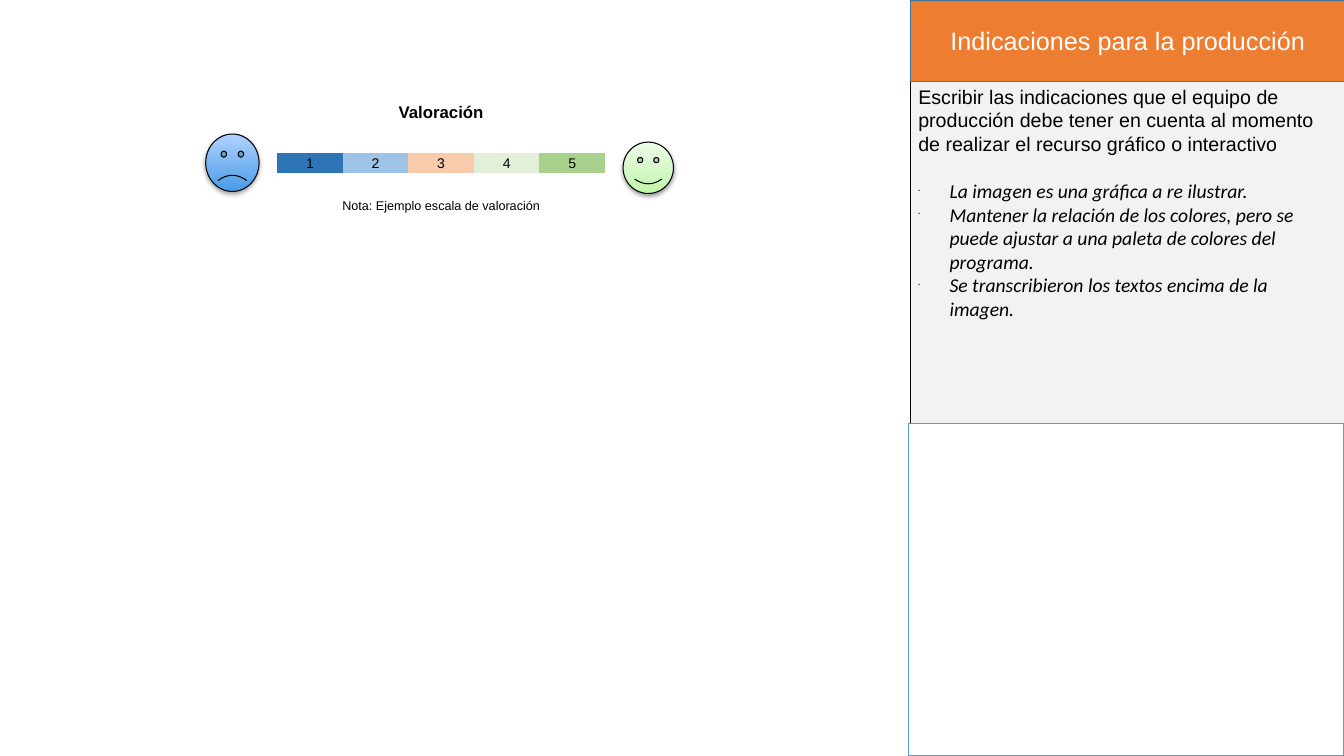
import dataclasses
import lxml.etree
import pptx
import pptx.dml.color
import pptx.enum.shapes
import pptx.enum.text
import pptx.oxml.ns
import pptx.util

Inches = pptx.util.Inches
Pt = pptx.util.Pt
RGB = pptx.dml.color.RGBColor.from_string
Shape = pptx.enum.shapes.MSO_SHAPE
Align = pptx.enum.text.PP_ALIGN
Anchor = pptx.enum.text.MSO_ANCHOR
qn = pptx.oxml.ns.qn


@dataclasses.dataclass
class Theme:
    black: str = "000000"
    white: str = "FFFFFF"
    panel: str = "F2F2F2"
    orange: str = "ED7D31"
    navy: str = "42719B"
    blue: str = "5B9BD5"
    scale: tuple = ("2E75B6", "9DC3E6", "F8CBAD", "E2F0D9", "A9D18E")
    happy: tuple = ((0, "BEF5A7"), (35, "D1F7C2"), (100, "EDFDE7"))
    sad: tuple = ((0, "499CE7"), (100, "B0D2FF"))
    head: int = 18
    body: int = 14
    label: int = 12
    cell: int = 10
    note: int = 9


theme = Theme()


def write(par, text, size, color=theme.black, font="Arial", bold=False, italic=False):
    run = par.add_run()
    run.text = text
    run.font.size = Pt(size)
    run.font.name = font
    run.font.bold = bold
    run.font.italic = italic
    run.font.color.rgb = RGB(color)


def paint(shape, fill, line, width=1):
    shape.fill.solid()
    shape.fill.fore_color.rgb = RGB(fill)
    shape.line.color.rgb = RGB(line)
    shape.line.width = Pt(width)


deck = pptx.Presentation()
deck.slide_width = Inches(13.33)
deck.slide_height = Inches(7.5)
slide = deck.slides.add_slide(deck.slide_layouts[5])
shapes = slide.shapes

# Side panel and the free area below it
banner = shapes.title
side = Inches(9.03)
wide = Inches(4.31)
panel = shapes.add_shape(Shape.RECTANGLE, side, 0, wide, Inches(7.5))
paint(panel, theme.panel, theme.black)
panel.shadow.inherit = False
banner._element.addprevious(panel._element)
blank = shapes.add_shape(Shape.RECTANGLE, Inches(9.01), Inches(4.2), Inches(4.32), Inches(3.3))
paint(blank, theme.white, theme.blue)
blank.shadow.inherit = False

# Panel heading
banner.left, banner.top, banner.width, banner.height = side, 0, wide, Inches(0.81)
paint(banner, theme.orange, theme.navy)
frame = banner.text_frame
frame.auto_size = pptx.enum.text.MSO_AUTO_SIZE.NONE
frame.vertical_anchor = Anchor.MIDDLE
frame.paragraphs[0].alignment = Align.CENTER
write(frame.paragraphs[0], "Indicaciones para la producción", theme.head, theme.white)

# Instructions
frame = shapes.add_textbox(Inches(9.01), Inches(0.79), Inches(4.33), Inches(3.3)).text_frame
frame.word_wrap = True
intro = frame.paragraphs[0]
intro.space_after = Pt(17)
write(intro, "Escribir las indicaciones que el equipo de producción debe tener en cuenta "
      "al momento de realizar el recurso gráfico o interactivo", theme.body)
for text in (
    "La imagen es una gráfica a re ilustrar.",
    "Mantener la relación de los colores, pero se puede ajustar a una paleta de colores del programa.",
    "Se transcribieron los textos encima de la imagen.",
):
    par = frame.add_paragraph()
    write(par, text, theme.body, font="Calibri", italic=True)
    props = par._p.get_or_add_pPr()
    props.set("marL", str(Inches(0.31)))
    props.set("indent", str(-Inches(0.31)))
    lxml.etree.SubElement(props, qn("a:buSzPct")).set("val", "25000")
    lxml.etree.SubElement(props, qn("a:buFont")).set("typeface", "Arial")
    lxml.etree.SubElement(props, qn("a:buChar")).set("char", "•")

# Scale heading and note
left = Inches(2.75)
span = Inches(3.25)
for text, top, high, size, bold in (
    ("Valoración", 0.96, 0.5, theme.label, True),
    ("Nota: Ejemplo escala de valoración", 1.91, 0.4, theme.note, False),
):
    frame = shapes.add_textbox(left, Inches(top), span, Inches(high)).text_frame
    frame.word_wrap = True
    frame.paragraphs[0].alignment = Align.CENTER
    write(frame.paragraphs[0], text, size, bold=bold)

# Faces with a gradient and a soft shadow
for spot, stops, alpha, drop, smile in (
    ((6.18, 1.41, 0.5, 0.51), theme.happy, 38, 1.6, 0.047),
    ((2.04, 1.33, 0.53, 0.57), theme.sad, 35, 1.8, -0.047),
):
    face = shapes.add_shape(Shape.SMILEY_FACE, *[Inches(n) for n in spot])
    face.adjustments[0] = smile
    face.line.color.rgb = RGB(theme.black)
    face.line.width = Pt(0.75)
    face.shadow.inherit = False
    props = face._element.spPr
    grad = lxml.etree.Element(qn("a:gradFill"), rotWithShape="1")
    row = lxml.etree.SubElement(grad, qn("a:gsLst"))
    for place, color in stops:
        stop = lxml.etree.SubElement(row, qn("a:gs"), pos=str(place * 1000))
        lxml.etree.SubElement(stop, qn("a:srgbClr"), val=color)
    lxml.etree.SubElement(grad, qn("a:lin"), ang="16200000", scaled="0")
    props.find(qn("a:ln")).addprevious(grad)
    shade = lxml.etree.SubElement(
        props.find(qn("a:effectLst")), qn("a:outerShdw"), blurRad=str(Pt(3.1)),
        dist=str(Pt(drop)), dir="5400000", rotWithShape="0")
    tint = lxml.etree.SubElement(shade, qn("a:srgbClr"), val=theme.black)
    lxml.etree.SubElement(tint, qn("a:alpha"), val=str(alpha * 1000))

# Rating scale, with the plain table style
count = len(theme.scale)
table = shapes.add_table(1, count, left, Inches(1.52), span, Inches(0.19)).table
table.first_row = False
table.horz_banding = False
style = table._tbl.tblPr.find(qn("a:tableStyleId"))
style.text = "{2D5ABB26-0587-4C30-8999-92F81FD0307C}"
for i, color in enumerate(theme.scale):
    cell = table.cell(0, i)
    cell.fill.solid()
    cell.fill.fore_color.rgb = RGB(color)
    cell.margin_left = cell.margin_right = Inches(0.07)
    cell.margin_top = cell.margin_bottom = 0
    par = cell.text_frame.paragraphs[0]
    par.alignment = Align.CENTER
    par.line_spacing = 1.15
    write(par, str(i + 1), theme.cell)

deck.save("out.pptx")
